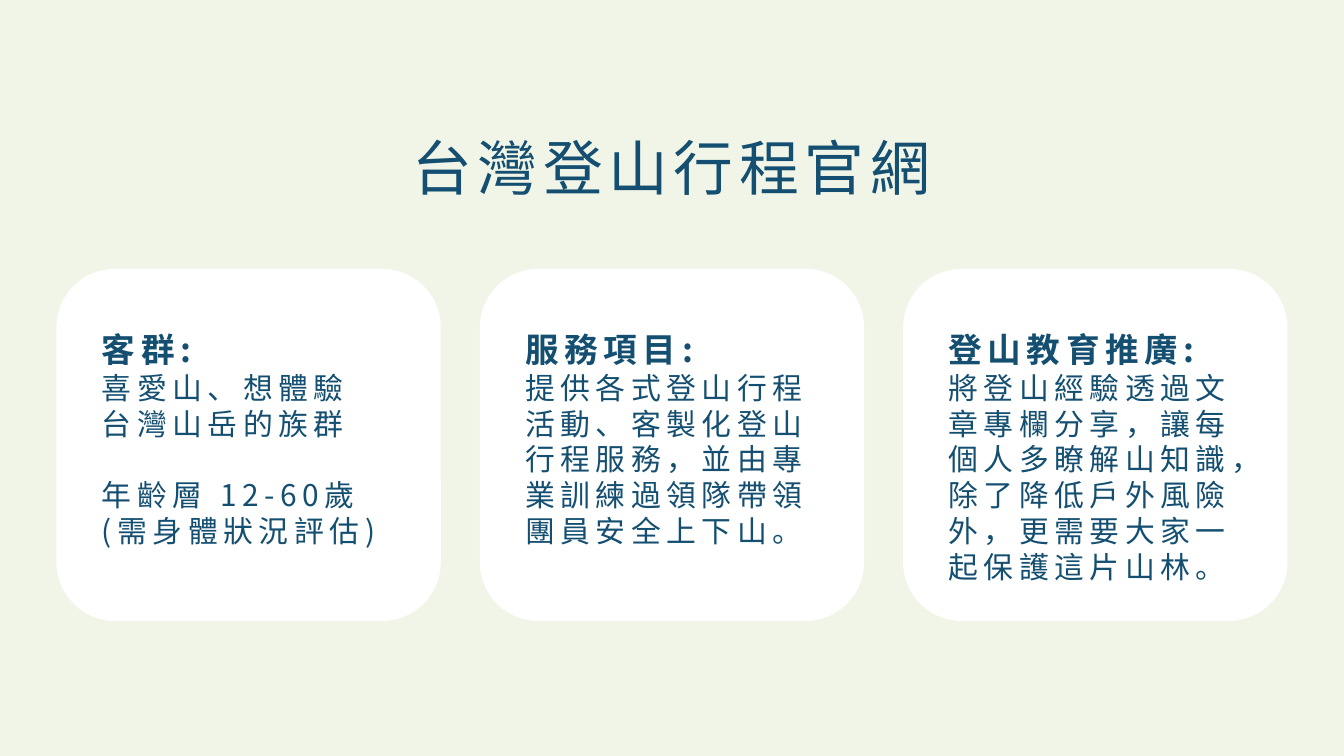
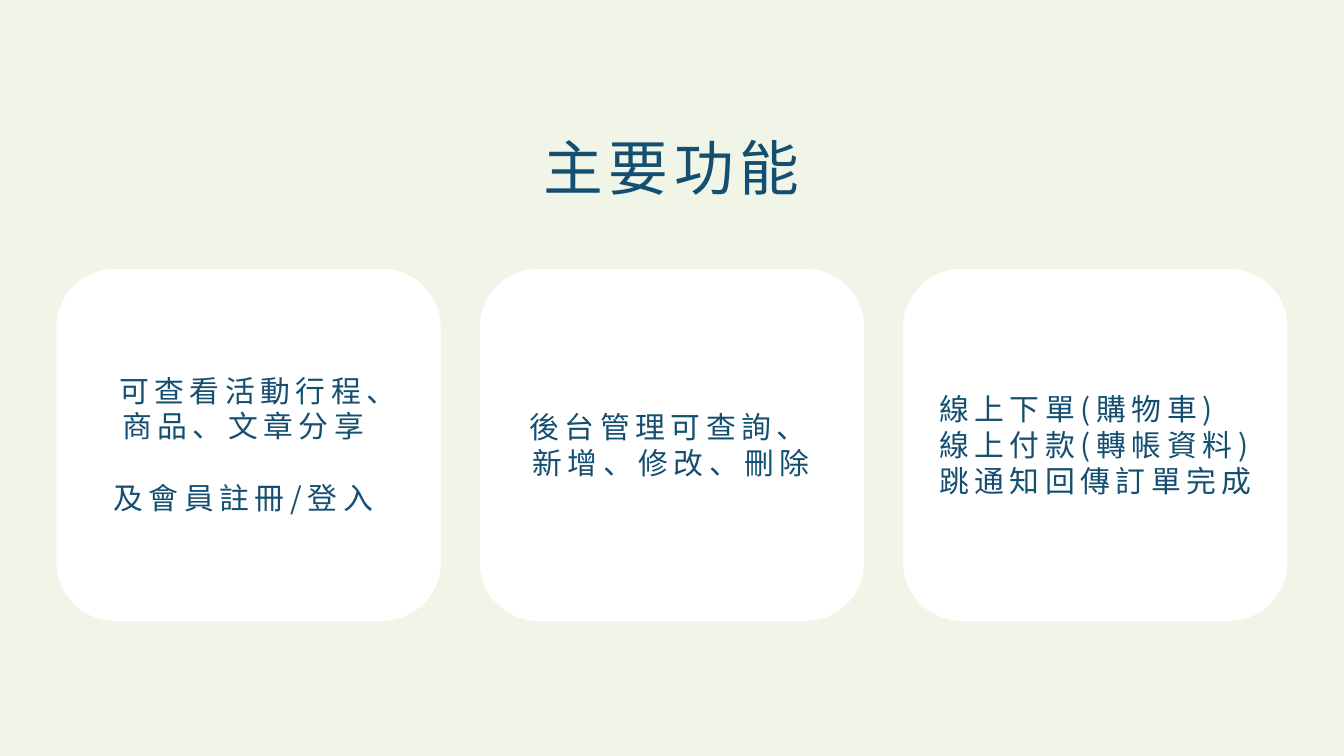
import pptx
import pptx.util
import pptx.dml.color
import pptx.enum.shapes
import pptx.enum.text
import pptx.oxml.ns
import lxml.etree

Pt, Inches = pptx.util.Pt, pptx.util.Inches
RGB = pptx.dml.color.RGBColor
ALIGN = pptx.enum.text.PP_ALIGN
LEFT, MID = ALIGN.LEFT, ALIGN.CENTER

NAVY = RGB(0x14, 0x4F, 0x71)
PALE = RGB(0xF1, 0xF5, 0xE8)
WHITE = RGB(0xFF, 0xFF, 0xFF)
FONT = "Noto Sans CJK JP"

# Content: title, then one dict per card; "gap" lists lines set one line lower
SLIDES = [
    ("台灣登山行程官網", [
        dict(head="客群:", gap=[1], top=2.1, size=(2.3, 2.05),
             lines=["喜愛山、想體驗台灣山岳的族群", "年齡層 12-60歲", "(需身體狀況評估)"]),
        dict(head="服務項目:", top=2.1, size=(2.37, 2.32),
             lines=["提供各式登山行程活動、客製化登山行程服務，並由專業訓練過領隊帶領團員安全上下山。"]),
        dict(head="登山教育推廣:", top=2.1, size=(2.37, 2.32),
             lines=["將登山經驗透過文章專欄分享，讓每個人多瞭解山知識，"
                    "除了降低戶外風險外，更需要大家一起保護這片山林。"]),
    ]),
    ("主要功能", [
        dict(gap=[1], top=2.72, size=(2.3, 1.18), align=MID,
             lines=["可查看活動行程、商品、文章分享", "及會員註冊/登入"]),
        dict(top=2.99, size=(2.37, 0.64), align=MID,
             lines=["後台管理可查詢、新增、修改、刪除"]),
        dict(top=2.86, size=(2.69, 0.91), inset=0.17,
             lines=["線上下單(購物車)", "線上付款(轉帳資料)", "跳通知回傳訂單完成"]),
    ]),
]

# Grid of cards, in inches
WIDE, HIGH = 10, 5.625
CARD_W, CARD_H, TOP, GAP = 2.86, 2.62, 2, 0.29
EDGE = (WIDE - 3 * CARD_W - 2 * GAP) / 2
INSET = 0.24
LINE = 19.3  # height of a body line, in points


def style(para, size, align=LEFT, bold=False):
    """Give a paragraph the shared letter style."""
    para.alignment = align
    font = para.font
    font.size, font.bold, font.name = Pt(size), bold, FONT
    font.color.rgb = NAVY
    props = para._p.pPr.get_or_add_defRPr()
    props.set("spc", "300")
    east = lxml.etree.SubElement(props, pptx.oxml.ns.qn("a:ea"))
    east.set("typeface", FONT)


def add_title(slide, text):
    title = slide.shapes.title
    title.left, title.top = Inches(1.47), Inches(0.92)
    title.width, title.height = Inches(7.05), Inches(0.82)
    frame = title.text_frame
    frame.text = text
    frame.vertical_anchor = pptx.enum.text.MSO_ANCHOR.TOP
    style(frame.paragraphs[0], 32, MID)


def add_card(slide, left):
    card = slide.shapes.add_shape(
        pptx.enum.shapes.MSO_SHAPE.ROUNDED_RECTANGLE,
        Inches(left), Inches(TOP), Inches(CARD_W), Inches(CARD_H))
    card.shadow.inherit = False
    card.fill.solid()
    card.fill.fore_color.rgb = WHITE
    card.line.fill.background()


def add_text(slide, left, top, size, lines, head=None, gap=(), align=LEFT, inset=INSET):
    box = slide.shapes.add_textbox(
        Inches(left + inset), Inches(top), *map(Inches, size))
    frame = box.text_frame
    frame.word_wrap = True
    frame.auto_size = pptx.enum.text.MSO_AUTO_SIZE.SHAPE_TO_FIT_TEXT
    para = frame.paragraphs[0]
    if head:
        para.text = head
        para.line_spacing = 2.0
        style(para, 18, bold=True)
    for i, line in enumerate(lines):
        if head or i:
            para = frame.add_paragraph()
        para.text = line
        if i in gap:
            para.space_before = Pt(LINE)
        style(para, 16, align)


def main():
    deck = pptx.Presentation()
    deck.slide_width, deck.slide_height = Inches(WIDE), Inches(HIGH)
    back = deck.slide_master.background.fill
    back.solid()
    back.fore_color.rgb = PALE

    for title, cards in SLIDES:
        slide = deck.slides.add_slide(deck.slide_layouts.get_by_name("Title Only"))
        add_title(slide, title)
        for col, card in enumerate(cards):
            left = EDGE + col * (CARD_W + GAP)
            add_card(slide, left)
            add_text(slide, left, **card)
    deck.save("out.pptx")


if __name__ == "__main__":
    main()
